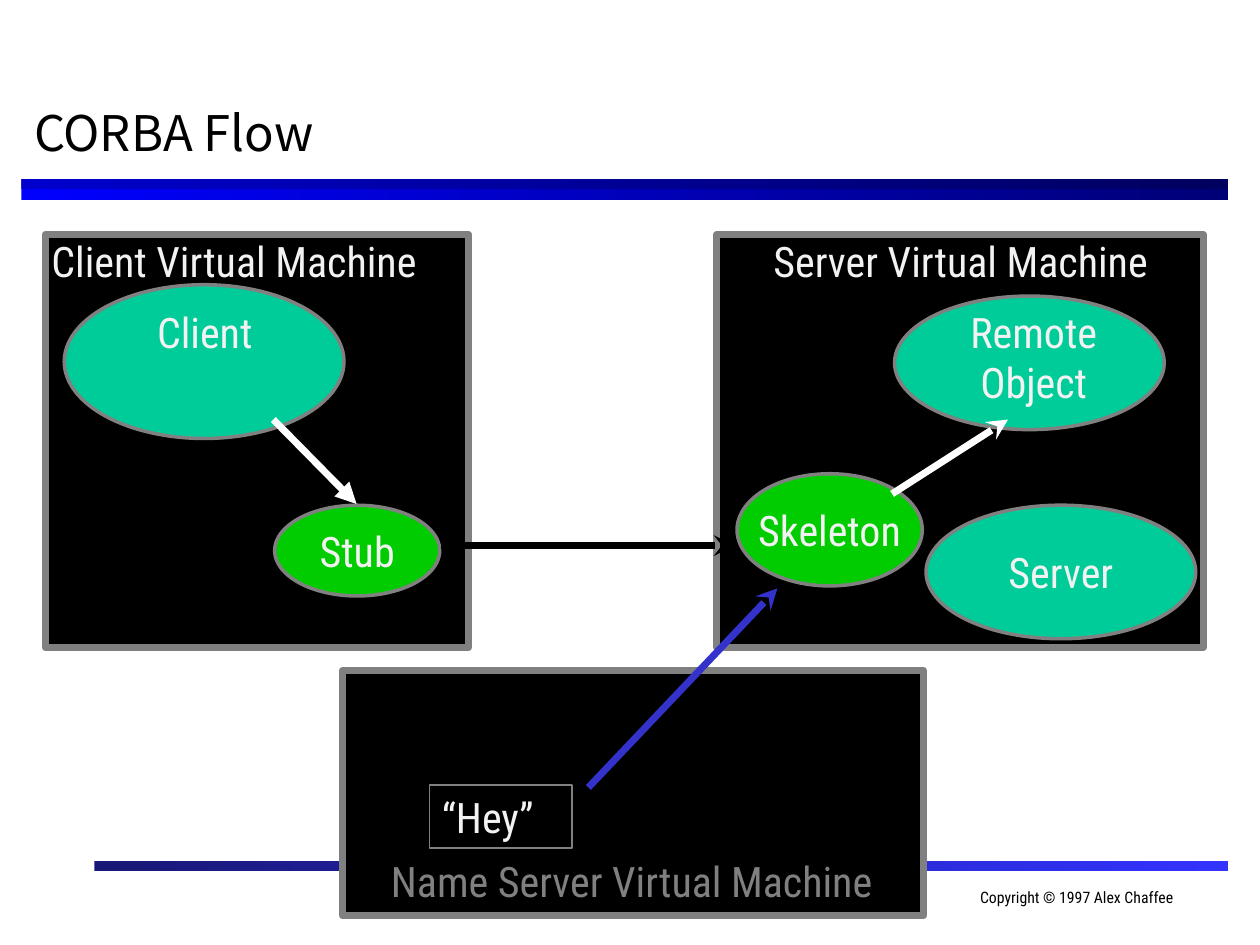
from lxml.etree import SubElement
from pptx import Presentation
from pptx.dml.color import RGBColor
from pptx.enum.shapes import MSO_CONNECTOR, MSO_SHAPE as Shape
from pptx.enum.text import MSO_ANCHOR as Anchor, MSO_AUTO_SIZE as AutoSize, PP_ALIGN as Align
from pptx.oxml.ns import qn
from pptx.util import Inches, Pt

BLACK = RGBColor(0x00, 0x00, 0x00)
WHITE = RGBColor(0xFF, 0xFF, 0xFF)
PALE = RGBColor(0xF2, 0xF2, 0xF2)
GRAY = RGBColor(0x80, 0x80, 0x80)
TEAL = RGBColor(0x00, 0xCC, 0x99)
GREEN = RGBColor(0x00, 0xCC, 0x00)
BLUE = RGBColor(0x33, 0x33, 0xCC)
TITLE_BAR = RGBColor(0x00, 0x00, 0xFF), RGBColor(0x00, 0x00, 0x76)
TITLE_BAR_TOP = RGBColor(0x00, 0x00, 0xCC), RGBColor(0x00, 0x00, 0x5E)
FOOTER_BAR = RGBColor(0x18, 0x18, 0x76), RGBColor(0x33, 0x33, 0xFF)

TITLE_FONT = "Noto Sans CJK KR"
BODY_FONT = "Roboto Condensed"


def write(shape, text, size=24, color=PALE, font=BODY_FONT, align=Align.CENTER,
          anchor=Anchor.TOP, wrap=True, grow=False):
    frame = shape.text_frame
    frame.word_wrap = wrap
    frame.auto_size = AutoSize.SHAPE_TO_FIT_TEXT if grow else AutoSize.NONE
    frame.vertical_anchor = anchor
    paragraph = frame.paragraphs[0]
    paragraph.alignment = align
    run = paragraph.add_run()
    run.text = text
    run.font.size = Pt(size)
    run.font.name = font
    run.font.color.rgb = color


def add_label(slide, text, left, top, width, height=0.5, **text_format):
    box = slide.shapes.add_textbox(*map(Inches, (left, top, width, height)))
    write(box, text, **text_format)


def add_outlined(slide, kind, left, top, width, height, fill=None, line_width=2):
    shape = slide.shapes.add_shape(kind, *map(Inches, (left, top, width, height)))
    shape.shadow.inherit = False
    if fill is None:
        shape.fill.background()
    else:
        shape.fill.solid()
        shape.fill.fore_color.rgb = fill
    shape.line.color.rgb = GRAY
    shape.line.width = Pt(line_width)
    return shape


def add_object(slide, left, top, width, height, fill, text=None):
    """Draw an oval for an object, with its name in the middle if given."""
    oval = add_outlined(slide, Shape.OVAL, left, top, width, height, fill)
    if text:
        write(oval, text, anchor=Anchor.MIDDLE, wrap=False)


def add_machine(slide, left, top, width, height):
    add_outlined(slide, Shape.RECTANGLE, left, top, width, height, BLACK, line_width=4)


def add_arrow(slide, start, end, color, head="stealth"):
    arrow = slide.shapes.add_connector(
        MSO_CONNECTOR.STRAIGHT, *map(Inches, (*start, *end)))
    arrow.line.color.rgb = color
    arrow.line.width = Pt(4)
    SubElement(arrow.line._get_or_add_ln(), qn("a:tailEnd"), type=head)
    SubElement(arrow._element.spPr, qn("a:effectLst"))


def add_bar(slide, left, top, width, height, colors):
    bar = slide.shapes.add_shape(
        Shape.RECTANGLE, *map(Inches, (left, top, width, height)))
    bar.shadow.inherit = False
    bar.line.fill.background()
    bar.fill.gradient()
    bar.fill.gradient_angle = 0
    for stop, color in zip(bar.fill.gradient_stops, colors):
        stop.color.rgb = color


def add_header(slide, left, top, width):
    title = slide.shapes.title
    title.left, title.top = Inches(left), Inches(top)
    title.width, title.height = Inches(width), Inches(0.75)
    write(title, "CORBA Flow", size=28, color=BLACK, font=TITLE_FONT,
          align=Align.LEFT, anchor=Anchor.MIDDLE)
    add_bar(slide, left, top + 0.75, width, 0.17, TITLE_BAR)
    add_bar(slide, left, top + 0.75, width, 0.08, TITLE_BAR_TOP)


def add_footer(slide, left, top, width):
    add_bar(slide, left, top, width, 0.08, FOOTER_BAR)
    add_label(slide, "Copyright © 1997 Alex Chaffee", left + 6.93, top + 0.17, 2.32,
              size=9, color=BLACK, align=Align.LEFT)


def add_client_machine(slide, left, top, width, height):
    add_machine(slide, left, top, width, height)
    add_label(slide, "Client Virtual Machine", left - 0.05, top - 0.04, 3.63,
              align=Align.LEFT, wrap=False, grow=True)
    add_object(slide, left + 0.15, top + 0.4, 2.22, 1.22, TEAL)
    add_label(slide, "Client", left + 0.39, top + 0.52, 1.75, grow=True)
    add_object(slide, left + 1.82, top + 2.15, 1.31, 0.72, GREEN, "Stub")
    add_arrow(slide, (left + 1.81, top + 1.47), (left + 2.47, top + 2.14),
              WHITE, head="triangle")


def add_server_machine(slide, left, top, width, height):
    add_machine(slide, left, top, width, height)
    add_label(slide, "Server Virtual Machine", left + 0.06, top - 0.04, 3.75, grow=True)
    add_object(slide, left + 1.41, top + 0.49, 2.14, 1.06, TEAL)
    add_label(slide, "Remote Object", left + 1.64, top + 0.52, 1.75, 0.9, grow=True)
    add_object(slide, left + 0.16, top + 1.9, 1.47, 0.89, GREEN, "Skeleton")
    add_object(slide, left + 1.66, top + 2.15, 2.14, 1.06, TEAL, "Server")
    add_arrow(slide, (left + 1.39, top + 2.06), (left + 2.31, top + 1.47), WHITE)


def add_name_server_machine(slide, left, top, width, height):
    add_machine(slide, left, top, width, height)
    add_label(slide, "Name Server Virtual Machine", left + 0.08, top + 1.42, 4.43, 0.9,
              color=GRAY)
    entry = add_outlined(slide, Shape.RECTANGLE, left + 0.69, top + 0.91, 1.13, 0.5,
                         line_width=1)
    write(entry, "“Hey”", align=Align.LEFT, wrap=False)


def main():
    presentation = Presentation()
    presentation.slide_width = Inches(10)
    presentation.slide_height = Inches(7.5)
    slide = presentation.slides.add_slide(presentation.slide_layouts[5])

    add_header(slide, 0.17, 0.67, 9.58)
    add_footer(slide, 0.75, 6.83, 9)
    add_client_machine(slide, 0.36, 1.86, 3.36, 3.28)
    add_server_machine(slide, 5.69, 1.86, 3.86, 3.28)
    add_name_server_machine(slide, 2.72, 5.32, 4.61, 1.95)
    add_arrow(slide, (4.67, 6.25), (6.17, 4.67), BLUE)
    add_arrow(slide, (3.5, 4.33), (5.83, 4.33), BLACK)

    presentation.save("out.pptx")


if __name__ == "__main__":
    main()
